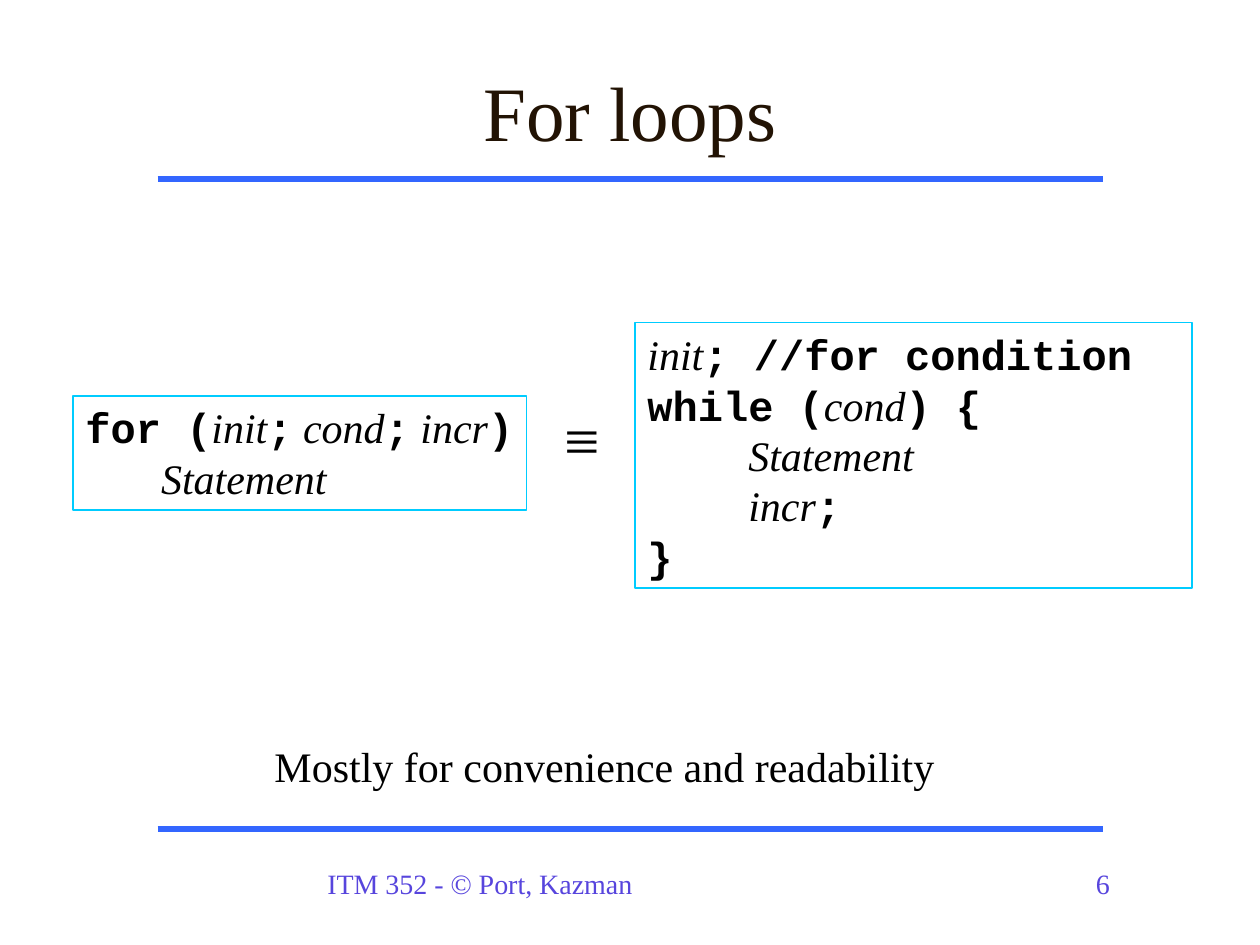
from lxml import etree
from pptx import Presentation
from pptx.dml.color import RGBColor
from pptx.enum.shapes import MSO_CONNECTOR, MSO_SHAPE
from pptx.enum.text import MSO_ANCHOR, PP_ALIGN
from pptx.oxml.ns import qn
from pptx.util import Inches, Pt

STRAIGHT = MSO_CONNECTOR.STRAIGHT
RECTANGLE = MSO_SHAPE.RECTANGLE
LEFT, CENTER = PP_ALIGN.LEFT, PP_ALIGN.CENTER
TOP, MIDDLE = MSO_ANCHOR.TOP, MSO_ANCHOR.MIDDLE

COLORS = {"rule": "3366FF", "footer": "5745DD", "title": "221304",
          "frame": "00CCFF", "text": "000000"}
SERIF, MONO = "Times New Roman", "Courier New"
CODE_SIZE = 24
CHARACTER_WIDTH = 0.2  # one monospaced character at the code size, in inches


def color(name):
    return RGBColor.from_string(COLORS[name])


def style(span, font, size, color_name):
    span.font.name = font
    span.font.size = Pt(size)
    span.font.color.rgb = color(color_name)


deck = Presentation()
deck.slide_width, deck.slide_height = Inches(10), Inches(7.5)
page = deck.slides.add_slide(deck.slide_layouts[6])

# Rules under the title and above the footer
for y in (1.42, 6.58):
    rule = page.shapes.add_connector(
        STRAIGHT, Inches(1.25), Inches(y), Inches(8.75), Inches(y))
    rule.line.color.rgb = color("rule")
    rule.line.width = Pt(3)
    etree.SubElement(rule._element.spPr, qn("a:effectLst"))

# Plain texts: wording, place, size, colour, alignment, anchor, wrap
plain_texts = [
    ("ITM 352 - © Port, Kazman", (2.5, 6.83, 4.17, 0.37), 16, "footer", LEFT, TOP, True),
    ("6", (8.6, 6.83, 0.74, 0.37), 16, "footer", LEFT, TOP, True),
    ("For loops", (0.75, 0.25, 8.5, 1.25), 44, "title", CENTER, MIDDLE, True),
    ("≡", (4.38, 3.13, 0.48, 0.7), 36, "text", LEFT, TOP, False),
    ("Mostly for convenience and readability", (2.08, 5.83, 5.52, 0.5),
     24, "text", LEFT, TOP, False),
]
for wording, place, size, color_name, alignment, anchor, wrap in plain_texts:
    box = page.shapes.add_textbox(*map(Inches, place))
    frame = box.text_frame
    frame.word_wrap = wrap
    frame.vertical_anchor = anchor
    para = frame.paragraphs[0]
    para.text = wording
    para.alignment = alignment
    style(para.runs[0], SERIF, size, color_name)

# Code boxes: place, wrap, then lines of (indent in characters, pieces).
# A piece is bold code or, when its name is a placeholder, italic serif.
PLACEHOLDERS = {"init", "cond", "incr", "Statement"}
code_boxes = [
    ((0.58, 3.14, 3.6, 0.91), False, [
        (0, ["for (", "init", ";", " cond", ";", " incr", ")"]),
        (3, ["Statement"]),
    ]),
    ((5.04, 2.56, 4.42, 2.11), True, [
        (0, ["init", "; //for condition"]),
        (0, ["while (", "cond", ") {"]),
        (4, ["Statement"]),
        (4, ["incr", ";"]),
        (0, ["}"]),
    ]),
]
for place, wrap, lines in code_boxes:
    box = page.shapes.add_shape(RECTANGLE, *map(Inches, place))
    box.shadow.inherit = False
    box.fill.background()
    box.line.color.rgb = color("frame")
    box.line.width = Pt(1)
    frame = box.text_frame
    frame.word_wrap = wrap
    frame.vertical_anchor = TOP
    for number, (indent, pieces) in enumerate(lines):
        para = frame.add_paragraph() if number else frame.paragraphs[0]
        para.alignment = LEFT
        properties = para._p.get_or_add_pPr()
        properties.set("marL", str(Inches(indent * CHARACTER_WIDTH)))
        properties.set("indent", "0")
        for piece in pieces:
            span = para.add_run()
            span.text = piece
            is_placeholder = piece.strip() in PLACEHOLDERS
            style(span, SERIF if is_placeholder else MONO, CODE_SIZE, "text")
            span.font.italic = is_placeholder
            span.font.bold = not is_placeholder

deck.save("out.pptx")
